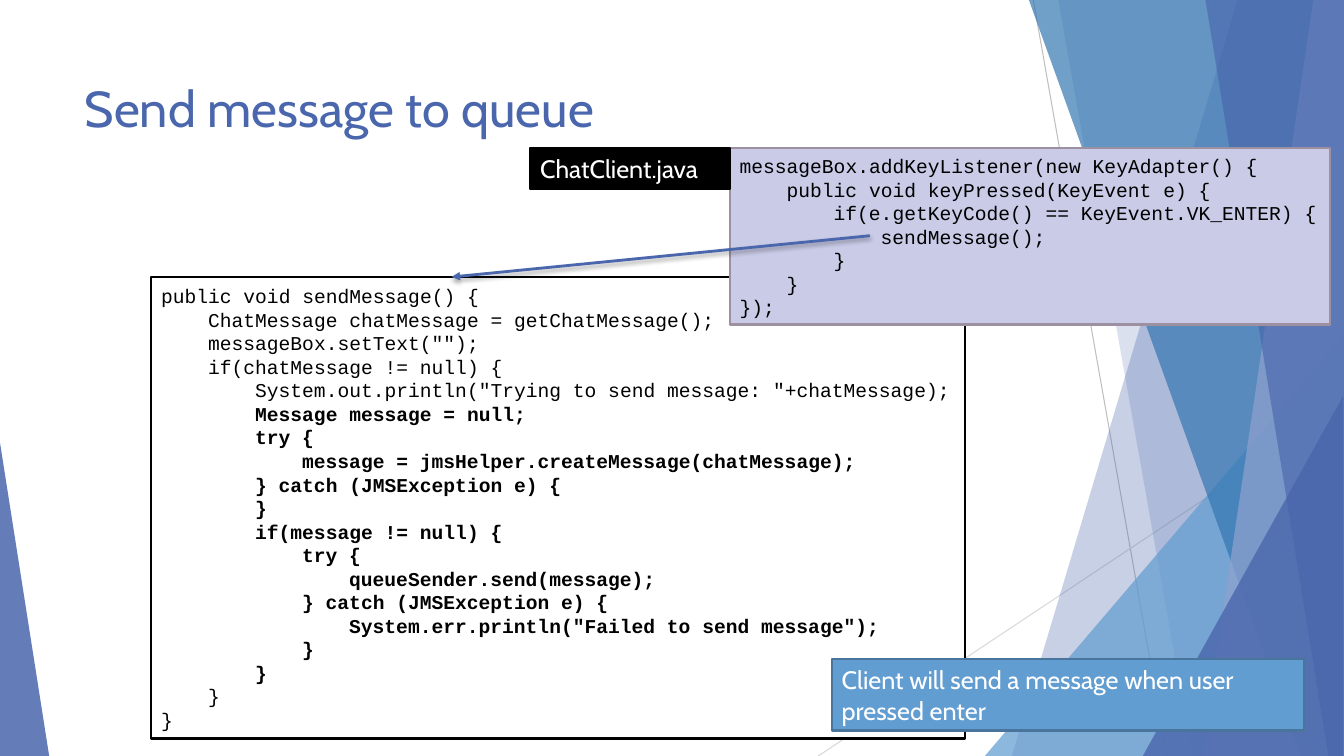
from lxml.etree import SubElement
from pptx import Presentation
from pptx.dml.color import RGBColor
from pptx.enum.shapes import MSO_CONNECTOR as CONN, MSO_SHAPE as SHAPE
from pptx.enum.text import MSO_ANCHOR as ANCHOR, PP_ALIGN as ALIGN
from pptx.oxml.ns import qn
from pptx.util import Cm, Pt

BLACK = RGBColor(0x00, 0x00, 0x00)
WHITE = RGBColor(0xFF, 0xFF, 0xFF)
INDIGO = RGBColor(0x4A, 0x66, 0xAC)
PALE_INDIGO = RGBColor(0x90, 0xA2, 0xCF)
SKY = RGBColor(0x62, 0x9D, 0xD1)
SKY_EDGE = RGBColor(0x49, 0x74, 0x9B)
OCEAN = RGBColor(0x34, 0x77, 0xB2)
LILAC = RGBColor(0xC9, 0xCB, 0xE7)
MAUVE = RGBColor(0x9D, 0x90, 0xA0)
SILVER = RGBColor(0xBF, 0xBF, 0xBF)
LIGHT_GREY = RGBColor(0xD9, 0xD9, 0xD9)

W, H = 33.87, 19.05
INDENT = 0.6 * Pt(14)

SEND_HEAD = """\
public void sendMessage() {
    ChatMessage chatMessage = getChatMessage();
    messageBox.setText("");
    if(chatMessage != null) {
        System.out.println("Trying to send message: "+chatMessage);"""
SEND_BODY = """\
        Message message = null;
        try {
            message = jmsHelper.createMessage(chatMessage);
        } catch (JMSException e) {
        }
        if(message != null) {
            try {
                queueSender.send(message);
            } catch (JMSException e) {
                System.err.println("Failed to send message");
            }
        }"""
SEND_END = """\
    }
}"""
LISTENER = """\
messageBox.addKeyListener(new KeyAdapter() {
    public void keyPressed(KeyEvent e) {
        if(e.getKeyCode() == KeyEvent.VK_ENTER) {
            sendMessage();
        }
    }
});"""


class Deck:
    TEXT = {"name": "Cabin", "size": Pt(18), "bold": False}
    CODE = {"name": "Courier New", "size": Pt(14), "bold": False}
    FRAME = {"word_wrap": True, "vertical_anchor": ANCHOR.MIDDLE}

    def __init__(self, prs):
        self.slide = prs.slides.add_slide(prs.slide_layouts[5])
        self.shapes = self.slide.shapes

    def paint(self, sp, fill, alpha=100, edge=None):
        sp.shadow.inherit = False
        sp.fill.solid()
        sp.fill.fore_color.rgb = fill
        if alpha < 100:
            clr = sp._element.spPr.find(qn("a:solidFill"))[0]
            SubElement(clr, qn("a:alpha"), val=str(alpha * 1000))
        if edge is None:
            sp.line.fill.background()
        else:
            sp.line.color.rgb = edge
            sp.line.width = Pt(1.5)

    def facet(self, top_x, bottom_x, fill, alpha):
        fb = self.shapes.build_freeform(Cm(top_x), 0)
        fb.add_line_segments([(Cm(x), Cm(y)) for x, y in
                              ((W, 0), (W, H), (bottom_x, H))])
        self.paint(fb.convert_to_shape(), fill, alpha)

    def corner(self, left, top, width, apex, fill, alpha):
        sp = self.shapes.add_shape(SHAPE.ISOSCELES_TRIANGLE, Cm(left), Cm(top),
                                   Cm(width), Cm(H - top))
        sp.adjustments[0] = apex
        self.paint(sp, fill, alpha)

    def line(self, start, end, color, width):
        sp = self.shapes.add_connector(CONN.STRAIGHT, *map(Cm, start + end))
        sp.line.color.rgb = color
        sp.line.width = Pt(width)
        effects = SubElement(sp._element.spPr, qn("a:effectLst"))
        return sp, effects

    def arrow(self, start, end, color, width):
        sp, effects = self.line(start, end, color, width)
        ln = sp._element.spPr.find(qn("a:ln"))
        SubElement(ln, qn("a:tailEnd"), type="triangle")
        shadow = SubElement(effects, qn("a:outerShdw"), blurRad=str(Pt(3)),
                            dist=str(Pt(2)), dir="5400000", rotWithShape="0")
        clr = SubElement(shadow, qn("a:srgbClr"), val=str(BLACK))
        SubElement(clr, qn("a:alpha"), val="35000")

    def text(self, p, words, color, style):
        p.alignment = ALIGN.LEFT
        r = p.add_run()
        r.text = words
        for key, value in style.items():
            setattr(r.font, key, value)
        r.font.color.rgb = color

    def title(self, words, left, top, width, height):
        sp = self.shapes.title
        box = {"left": left, "top": top, "width": width, "height": height}
        for key, value in box.items():
            setattr(sp, key, Cm(value))
        sp.text_frame.vertical_anchor = ANCHOR.MIDDLE
        self.text(sp.text_frame.paragraphs[0], words, INDIGO,
                  {**self.TEXT, "size": Pt(36)})

    def box(self, left, top, width, height, fill, edge, color, parts):
        sp = self.shapes.add_shape(SHAPE.RECTANGLE, *map(Cm, (left, top, width, height)))
        self.paint(sp, fill, edge=edge)
        tf = sp.text_frame
        for key, value in self.FRAME.items():
            setattr(tf, key, value)
        rows = [(row, style) for words, style in parts for row in words.split("\n")]
        for i, (row, style) in enumerate(rows):
            p = tf.add_paragraph() if i else tf.paragraphs[0]
            code = row.lstrip()
            pPr = p._p.get_or_add_pPr()
            pPr.set("marL", str(int((len(row) - len(code)) * INDENT)))
            pPr.set("indent", "0")
            self.text(p, code, color, style)


prs = Presentation()
prs.slide_width, prs.slide_height = Cm(W), Cm(H)
deck = Deck(prs)

deck.line((26.04, 0), (29.41, H), SILVER, 0.75)
deck.line((W, 10.24), (20.62, H), LIGHT_GREY, 0.75)
deck.facet(31.19, 25.5, INDIGO, 30)
deck.facet(26.67, 30.05, INDIGO, 20)
deck.corner(24.82, 8.46, 9.04, 1, SKY, 72)
deck.facet(25.93, 32.79, OCEAN, 70)
deck.facet(33.1, 30.28, PALE_INDIGO, 70)
deck.facet(30.38, 33.48, INDIGO, 65)
deck.corner(28.8, 9.98, 5.05, 1, INDIGO, 80)
deck.corner(0, 11.15, 1.24, 0, INDIGO, 85)

deck.title("Send message to queue", 1.88, 1.7, 23.88, 2.03)
deck.box(3.81, 6.98, 20.5, 11.63, WHITE, BLACK, BLACK,
         [(SEND_HEAD, deck.CODE), (SEND_BODY, {**deck.CODE, "bold": True}),
          (SEND_END, deck.CODE)])
deck.box(18.39, 3.73, 15.14, 4.45, LILAC, MAUVE, BLACK, [(LISTENER, deck.CODE)])
deck.box(13.36, 3.73, 5.03, 1.03, BLACK, BLACK, WHITE, [("ChatClient.java", deck.TEXT)])
deck.arrow((21.92, 5.94), (11.38, 6.98), INDIGO, 2)
deck.box(20.96, 16.61, 11.91, 1.8, SKY, SKY_EDGE, WHITE,
         [("Client will send a message when user pressed enter", deck.TEXT)])

prs.save("out.pptx")
